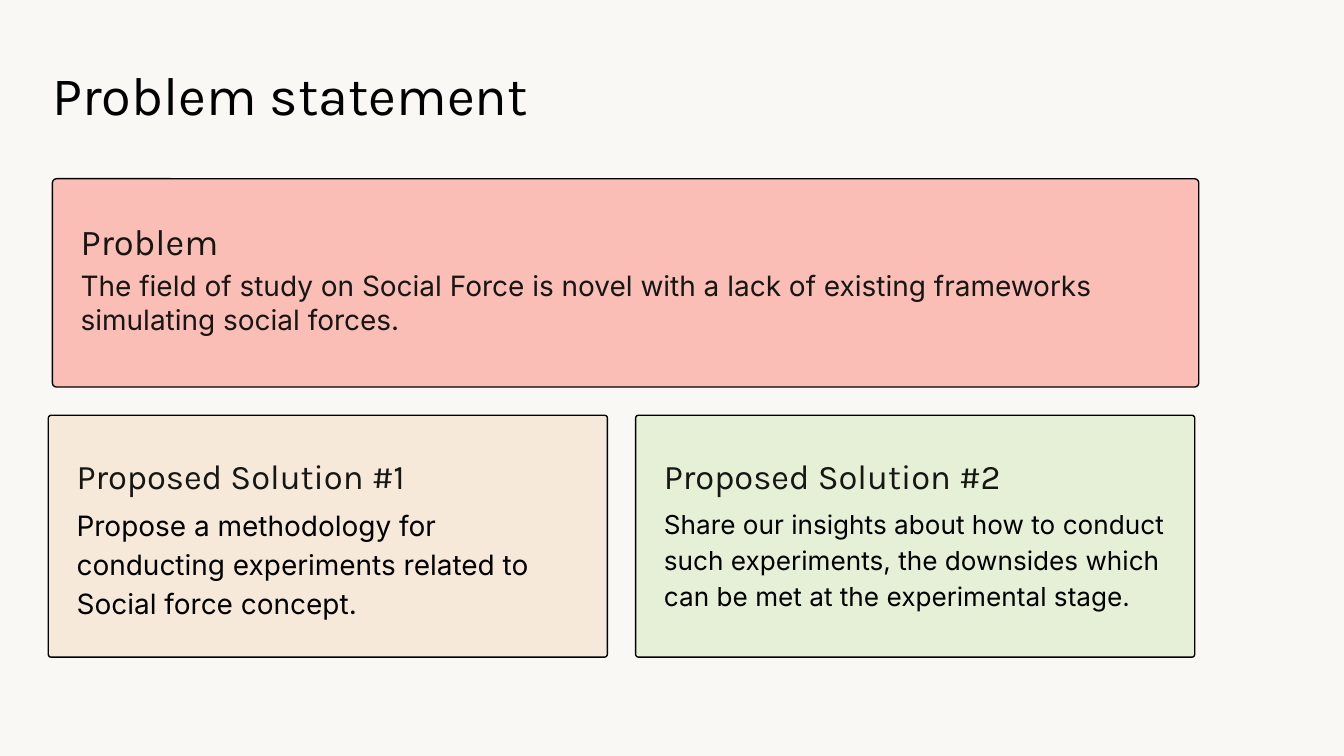
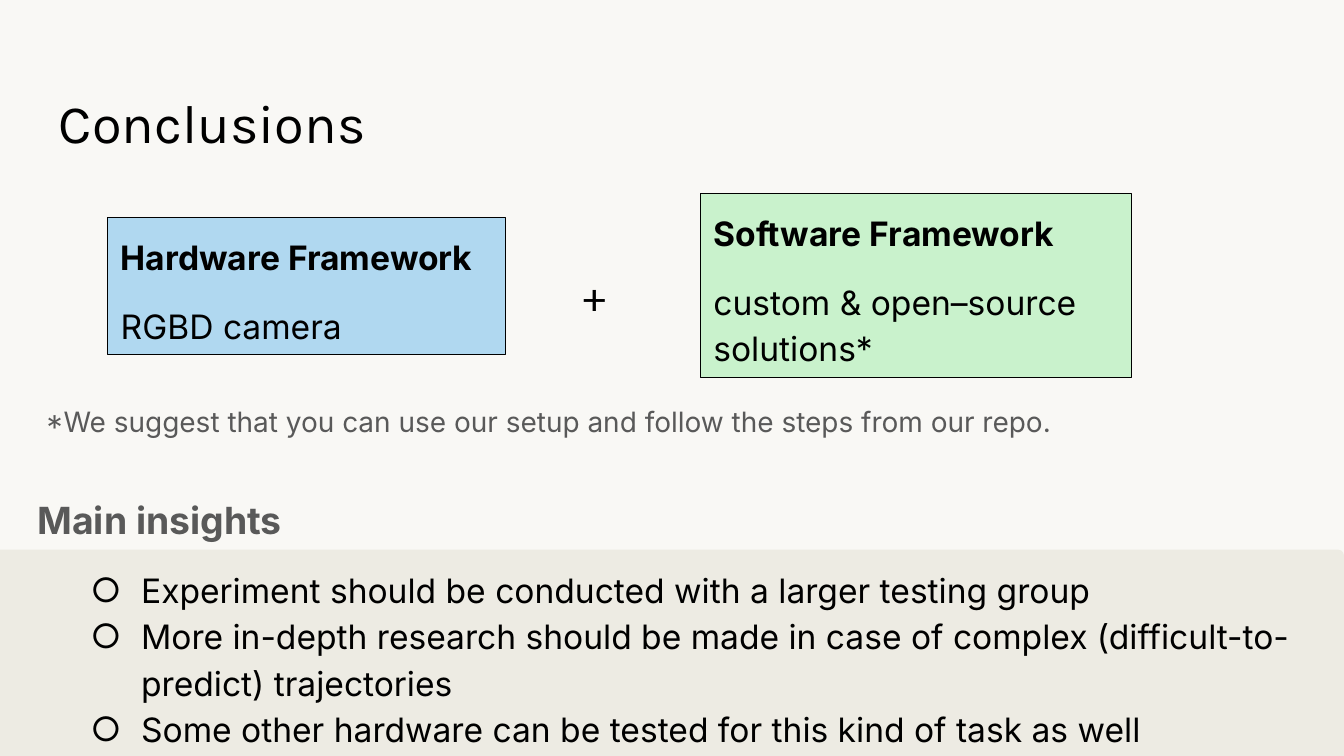
from dataclasses import dataclass
from typing import Optional

from lxml import etree
from pptx import Presentation
from pptx.dml.color import RGBColor
from pptx.enum.shapes import MSO_SHAPE
from pptx.enum.text import MSO_ANCHOR, MSO_AUTO_SIZE, PP_ALIGN
from pptx.oxml.ns import qn
from pptx.util import Inches, Pt

RECTANGLE = MSO_SHAPE.RECTANGLE
ROUNDED = MSO_SHAPE.ROUNDED_RECTANGLE
TOP, MIDDLE = MSO_ANCHOR.TOP, MSO_ANCHOR.MIDDLE
GROW, FIXED = MSO_AUTO_SIZE.SHAPE_TO_FIT_TEXT, MSO_AUTO_SIZE.NONE
LEFT = PP_ALIGN.LEFT

# The page is a grid of square cells; all places and insets are counted in cells.
COLUMNS, ROWS = 100, 56.25
CELL = Inches(10) / COLUMNS

KARLA, INTER = "Karla", "Inter"
PAPER, BLACK, INK, GREY = "F9F8F5", "000000", "161613", "595959"
SAND, LEAF, CORAL, STONE = "F6E9D9", "E5F0D6", "FB897E", "EDEBE3"
SKY, MINT = "B0D8F0", "C9F2CC"

CARD_PADDING = 2.1
HEADING_HEIGHT = 3.3


@dataclass(frozen=True)
class Area:
    left: float
    top: float
    width: float
    height: float


@dataclass(frozen=True)
class Line:
    text: str
    size: float
    font: str = INTER
    color: str = BLACK
    bold: bool = False
    spacing: float = 1.15
    before: float = 0
    after: float = 0
    bullet: str = ""


@dataclass(frozen=True)
class Card:
    area: Area
    fill: str
    opacity: int
    corner: float
    heading: Line
    heading_width: float
    body: Line
    body_offset: float
    body_height: float


@dataclass(frozen=True)
class Framework:
    area: Area
    fill: str
    name: str
    detail: str


CARDS = [
    Card(Area(3.6, 30.9, 41.6, 18), SAND, 96, 0.012,
         Line("Proposed Solution #1", 18.5, KARLA, INK, spacing=1.27), 28.6,
         Line("Propose a methodology for conducting experiments related to "
              "Social force concept.", 15, after=12), 6.6, 11.4),
    Card(Area(47.3, 30.9, 41.6, 18), LEAF, 100, 0.012,
         Line("Proposed Solution #2", 18.5, KARLA, INK, spacing=1.27), 30.4,
         Line("Share our insights about how to conduct such experiments, the "
              "downsides which can be met at the experimental stage.", 14), 6.6, 13.4),
    Card(Area(3.9, 13.3, 85.3, 15.5), CORAL, 52, 0.02,
         Line("Problem", 19.5, KARLA, INK, spacing=1.27), 26.2,
         Line("The field of study on Social Force is novel with a lack of existing "
              "frameworks simulating social forces.", 15, color=INK, spacing=1),
         6.7, 6.7),
]

FRAMEWORKS = [
    Framework(Area(8, 16.2, 29.6, 10.2), SKY, "Hardware Framework", "RGBD camera"),
    Framework(Area(52.1, 14.4, 32.1, 13.7), MINT, "Software Framework",
              "custom & open–source solutions*"),
]

INSIGHTS = [
    "Experiment should be conducted with a larger testing group",
    "More in-depth research should be made in case of complex "
    "(difficult-to-predict) trajectories",
    "Some other hardware can be tested for this kind of task as well",
]


def cells(count: float) -> int:
    return round(count * CELL)


def place(area: Area) -> tuple[int, int, int, int]:
    return cells(area.left), cells(area.top), cells(area.width), cells(area.height)


def paint(color_format, color: str) -> None:
    color_format.rgb = RGBColor.from_string(color)


def add_bullet(paragraph, line: Line) -> None:
    properties = paragraph._p.get_or_add_pPr()
    properties.set("marL", str(cells(10)))
    properties.set("indent", str(-cells(3.75)))
    color = etree.SubElement(properties, qn("a:buClr"))
    etree.SubElement(color, qn("a:srgbClr"), val=line.color)
    etree.SubElement(properties, qn("a:buFont"), typeface=line.font)
    etree.SubElement(properties, qn("a:buChar"), char=line.bullet)


def write(box, lines: list[Line], inset: float = 1, anchor=TOP, resize=FIXED) -> None:
    frame = box.text_frame
    frame.text = "\n".join(line.text for line in lines)
    frame.word_wrap = True
    frame.auto_size = resize
    frame.vertical_anchor = anchor
    frame.margin_left = frame.margin_right = cells(inset)
    frame.margin_top = frame.margin_bottom = cells(inset)
    for paragraph, line in zip(frame.paragraphs, lines):
        if line.bullet:
            add_bullet(paragraph, line)
            paragraph.level = 1
        paragraph.alignment = LEFT
        paragraph.line_spacing = line.spacing
        paragraph.space_before = Pt(line.before)
        paragraph.space_after = Pt(line.after)
        for span in paragraph.runs:
            span.font.name = line.font
            span.font.size = Pt(line.size)
            span.font.bold = line.bold
            paint(span.font.color, line.color)


def add_text(page, area: Area, line: Line, inset: float = 1, resize=FIXED) -> None:
    write(page.shapes.add_textbox(*place(area)), [line], inset, resize=resize)


def add_panel(page, area: Area, fill: str, corner: Optional[float] = None,
              opacity: int = 100, outlined: bool = True):
    kind = RECTANGLE if corner is None else ROUNDED
    panel = page.shapes.add_shape(kind, *place(area))
    panel.shadow.inherit = False
    if corner is not None:
        panel.adjustments[0] = corner
    panel.fill.solid()
    paint(panel.fill.fore_color, fill)
    if opacity < 100:
        color = panel._element.spPr.find(f"{qn('a:solidFill')}/{qn('a:srgbClr')}")
        etree.SubElement(color, qn("a:alpha"), val=str(opacity * 1000))
    if outlined:
        panel.line.width = Pt(0.75)
        paint(panel.line.color, BLACK)
    else:
        panel.line.fill.background()
    return panel


def add_card(page, card: Card) -> None:
    area = card.area
    add_panel(page, area, card.fill, card.corner, card.opacity)
    left = area.left + CARD_PADDING
    add_text(page, Area(left, area.top + CARD_PADDING, card.heading_width,
                        HEADING_HEIGHT), card.heading, inset=0)
    add_text(page, Area(left, area.top + card.body_offset,
                        area.width - 2 * CARD_PADDING, card.body_height),
             card.body, inset=0)


def add_framework(page, framework: Framework) -> None:
    panel = add_panel(page, framework.area, framework.fill)
    write(panel, [Line(framework.name, 18, bold=True),
                  Line(framework.detail, 18, before=12, after=12)], resize=GROW)


def add_page(deck, title: str, left: float, top: float, spacing: float):
    page = deck.slides.add_slide(deck.slide_layouts[6])
    page.background.fill.solid()
    paint(page.background.fill.fore_color, PAPER)
    add_text(page, Area(left, top, 93.2, 6.3), Line(title, 29, KARLA, spacing=spacing))
    return page


def add_problem_page(deck) -> None:
    page = add_page(deck, "Problem statement", 2.9, 3.6, spacing=1)
    for card in CARDS:
        add_card(page, card)


def add_conclusions_page(deck) -> None:
    page = add_page(deck, "Conclusions", 3.4, 4.9, spacing=1.15)
    add_text(page, Area(1.8, 35.5, 70, 5.4),
             Line("Main insights", 20, color=GREY, bold=True))
    band = add_panel(page, Area(-0.6, 40.9, 100.6, 15.9), STONE, 0.026, outlined=False)
    write(band, [Line(insight, 18, bullet="○") for insight in INSIGHTS], anchor=MIDDLE)
    for framework in FRAMEWORKS:
        add_framework(page, framework)
    add_text(page, Area(2.4, 28.7, 84.8, 4.5),
             Line("*We suggest that you can use our setup and follow the steps "
                  "from our repo.", 15, color=GREY), resize=GROW)
    add_text(page, Area(42.4, 19, 4.8, 7.4), Line("+", 23, KARLA, spacing=1))


def main() -> None:
    deck = Presentation()
    deck.slide_width, deck.slide_height = cells(COLUMNS), cells(ROWS)
    add_problem_page(deck)
    add_conclusions_page(deck)
    deck.save("out.pptx")


if __name__ == "__main__":
    main()
